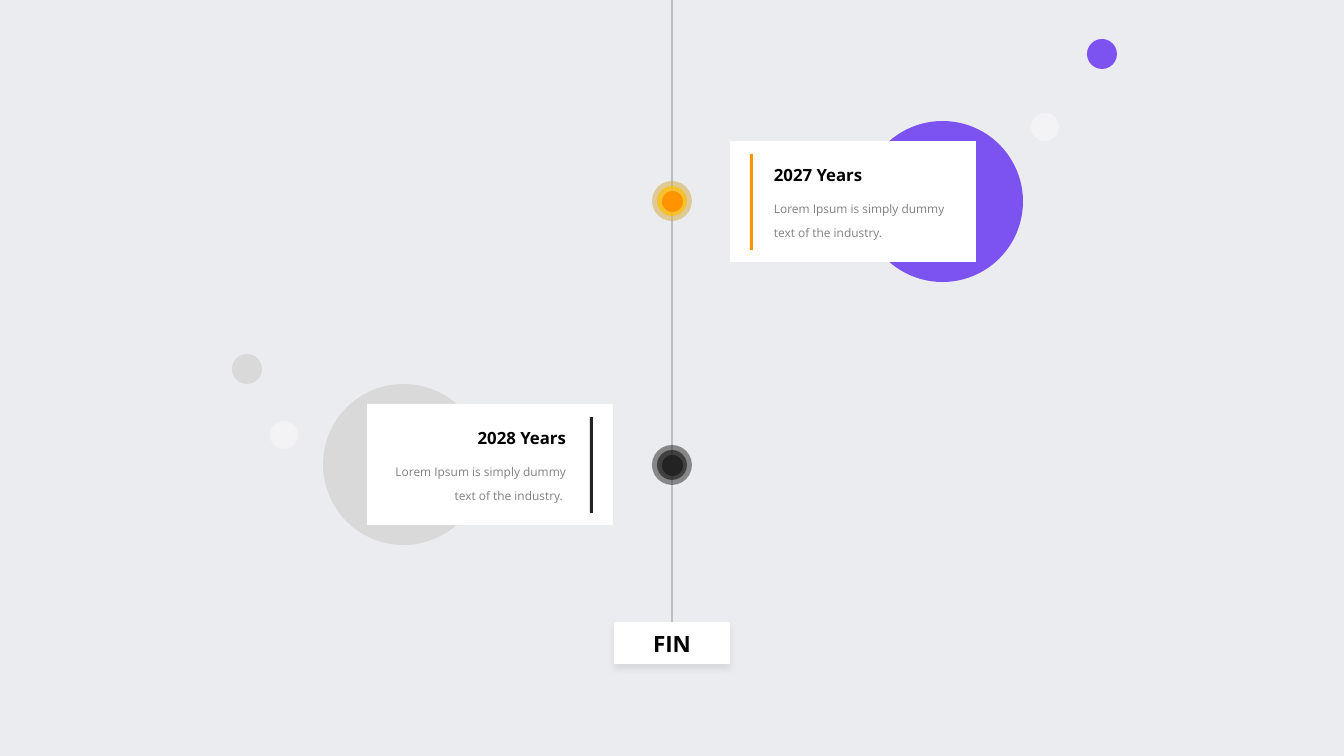
import pptx
import pptx.util
import pptx.dml.color
import pptx.enum.shapes
import pptx.enum.text
import pptx.oxml
import pptx.oxml.ns

SCALE = 914400 / 100.8
WIDE, HIGH = 1344, 756
MID = WIDE // 2
FONT = "Open Sans"
KIND = pptx.enum.shapes.MSO_SHAPE
ALIGN = pptx.enum.text.PP_ALIGN
SIZE = pptx.enum.text.MSO_AUTO_SIZE
NS = pptx.oxml.ns.nsdecls("a")


def px(num):
    return pptx.util.Emu(round(num * SCALE))


def paint(color, code):
    color.rgb = pptx.dml.color.RGBColor.from_string(code)


def shape(slide, kind, box, code, alpha=100):
    item = slide.shapes.add_shape(kind, *[px(n) for n in box])
    item.shadow.inherit = False
    item.fill.solid()
    paint(item.fill.fore_color, code)
    item.line.fill.background()
    if alpha < 100:
        fill = item.fill.fore_color._xFill[0]
        fill.append(pptx.oxml.parse_xml(f'<a:alpha {NS} val="{alpha * 1000}"/>'))
    return item


def rect(slide, box, code):
    return shape(slide, KIND.RECTANGLE, box, code)


def dot(slide, x, y, size, code, alpha=100):
    """Circle around the centre x, y."""
    box = (x - size // 2, y - size // 2, size, size)
    return shape(slide, KIND.OVAL, box, code, alpha)


def label(slide, box, text, size, code, align, bold=False, wrap=False, lead=None):
    frame = slide.shapes.add_textbox(*[px(n) for n in box]).text_frame
    frame.word_wrap = wrap
    frame.auto_size = SIZE.SHAPE_TO_FIT_TEXT
    frame.text = text
    para = frame.paragraphs[0]
    para.alignment = align
    if lead:
        para.line_spacing = pptx.util.Pt(lead)
    font = para.runs[0].font
    font.name, font.size, font.bold = FONT, pptx.util.Pt(size), bold
    paint(font.color, code)


def shade(item):
    """Soft shadow below a shape."""
    old = item._element.spPr.find(pptx.oxml.ns.qn("a:effectLst"))
    old.append(pptx.oxml.parse_xml(
        f'<a:outerShdw {NS} blurRad="63500" dist="38100" dir="5400000" '
        'algn="t" rotWithShape="0"><a:srgbClr val="232323">'
        '<a:alpha val="10000"/></a:srgbClr></a:outerShdw>'))


def card(slide, left, top, disc, bar, text, align, title, body):
    """Card over a disc; disc, bar and text are (x, colour) or x."""
    dot(slide, disc[0], top + 60, 161, disc[1])
    rect(slide, (left, top, 246, 121), "FFFFFF")
    rect(slide, (bar[0], top + 13, 3, 96), bar[1])
    shift = 84 if align == ALIGN.RIGHT else 0
    label(slide, (text + shift, top + 19, 111, 30), title, 12, "000000", align, bold=True)
    label(slide, (text, top + 46, 195, 55), body, 8.5, "808080", align, wrap=True, lead=17)


def final(slide):
    """Closing box and the time line that rises from it."""
    box = rect(slide, (614, 622, 116, 42), "FFFFFF")
    shade(box)
    line = slide.shapes.add_connector(
        pptx.enum.shapes.MSO_CONNECTOR.STRAIGHT, px(MID), px(622), px(MID), 0)
    line.begin_connect(box, 0)
    line.line.width = pptx.util.Pt(1)
    paint(line.line.color, "BFBFBF")
    line._element.spPr.append(pptx.oxml.parse_xml(f"<a:effectLst {NS}/>"))
    label(slide, (643, 625, 58, 37), "FIN", 16, "000000", ALIGN.CENTER, bold=True)


def mark(slide, y, codes):
    """Three rings, from the outer to the inner."""
    for size, code, alpha in zip((40, 30, 21), codes, (50, 70, 100)):
        dot(slide, MID, y, size, code, alpha)


def main():
    deck = pptx.Presentation()
    deck.slide_width, deck.slide_height = px(WIDE), px(HIGH)
    slide = deck.slides.add_slide(deck.slide_layouts[6])
    slide.background.fill.solid()
    paint(slide.background.fill.fore_color, "EBECF0")

    # Cards
    body = "Lorem Ipsum is simply dummy text of the industry."
    card(slide, 367, 404, (403, "D9D9D9"), (590, "232323"), 381,
         ALIGN.RIGHT, "2028 Years", body + " ")
    card(slide, 730, 141, (942, "7C53F0"), (750, "FF9300"), 764,
         ALIGN.LEFT, "2027 Years", body)

    # Time line
    final(slide)
    mark(slide, 201, ("D4A83F", "FFC000", "FF9300"))
    mark(slide, 465, ("232323",) * 3)

    # Loose dots
    dot(slide, 1102, 54, 30, "7C53F0")
    dot(slide, 1045, 127, 28, "FFFFFF", 40)
    dot(slide, 247, 369, 30, "D9D9D9")
    dot(slide, 284, 435, 28, "FFFFFF", 40)

    deck.save("out.pptx")


if __name__ == "__main__":
    main()
